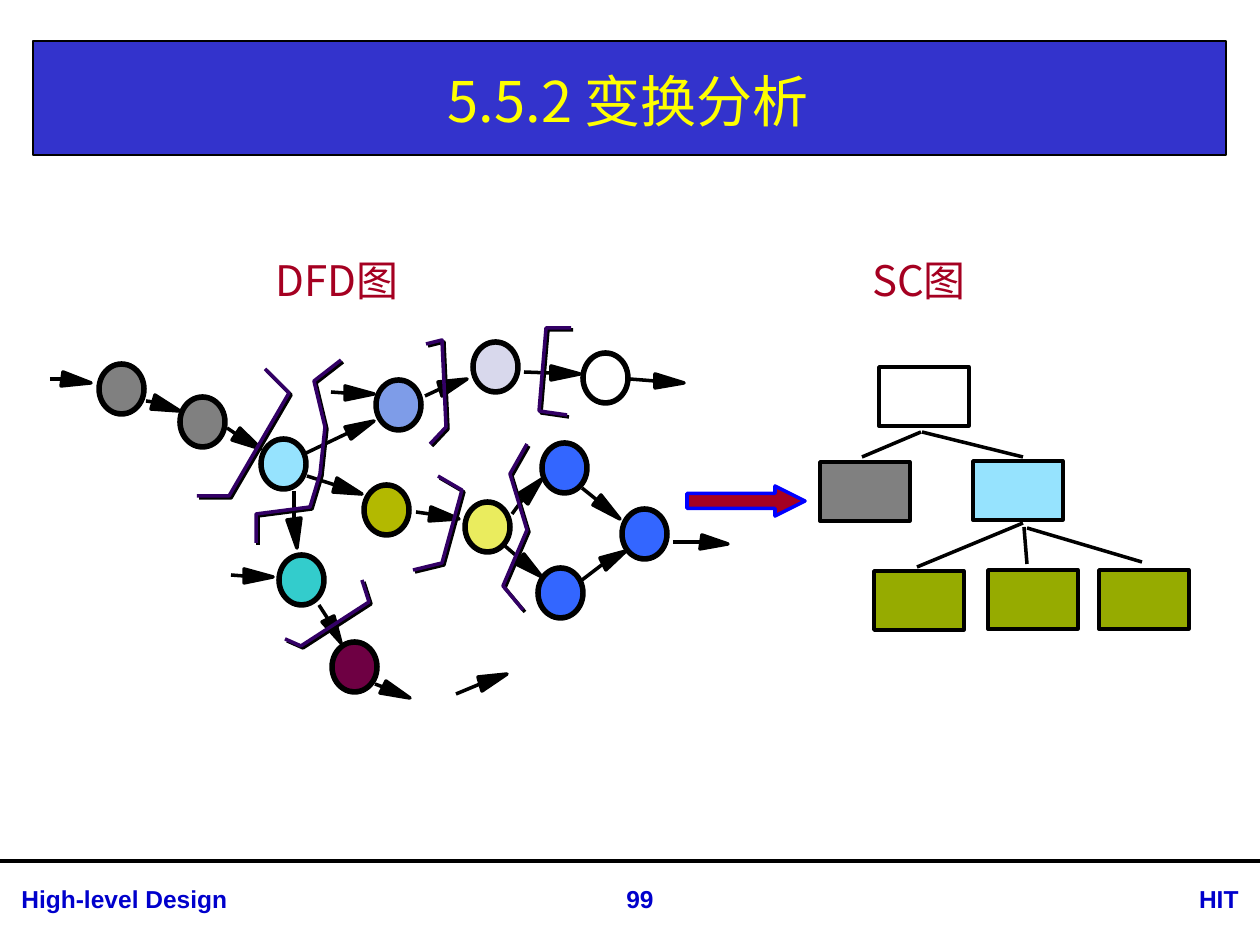
import math
from dataclasses import dataclass
from typing import NamedTuple, Optional

import pptx
import pptx.dml.color
import pptx.enum.shapes
import pptx.enum.text
import pptx.oxml.ns
import pptx.util
from lxml import etree

SCALE = 914400 / 126  # EMU per px
SHAPE = pptx.enum.shapes.MSO_SHAPE
ALIGN = pptx.enum.text.PP_ALIGN
Point = tuple[int, int]


@dataclass(frozen=True)
class Theme:
    bar: str = "3333CC"
    title: str = "FFFF00"
    heading: str = "A50021"
    footer: str = "0000CC"
    ink: str = "000000"
    boundary: str = "330066"
    arrow_line: str = "0000FF"
    white: str = "FFFFFF"
    gray: str = "808080"
    sky: str = "96E3FE"
    blue: str = "3366FF"
    olive: str = "96AB00"
    cjk: str = "Noto Sans CJK SC"
    latin: str = "Arial"
    title_pt: int = 32
    heading_pt: int = 24
    footer_pt: int = 14
    line_pt: float = 2


T = Theme()


class Box(NamedTuple):
    x: int
    y: int
    w: int
    h: int


class Node(NamedTuple):
    x: int
    y: int
    fill: str


class Flow(NamedTuple):
    tail: Point
    neck: Point
    tip: Point


NODES = [
    Node(179, 396, T.gray), Node(98, 363, T.gray), Node(375, 379, "7E9CE8"),
    Node(472, 341, "D8D8EC"), Node(582, 352, T.white), Node(363, 484, "B3B900"),
    Node(464, 501, "EAEC5E"), Node(541, 442, T.blue), Node(537, 567, T.blue),
    Node(621, 508, T.blue), Node(278, 554, "33CCCC"), Node(331, 641, "6E0043"),
]
CENTER_NODE = Node(260, 438, T.sky)
FLOWS = [
    Flow((50, 379), (62, 379), (91, 383)), Flow((231, 575), (244, 576), (273, 577)),
    Flow((331, 392), (345, 393), (374, 394)), Flow((146, 401), (153, 402), (180, 411)),
    Flow((227, 428), (236, 434), (261, 449)), Flow((307, 476), (335, 485), (362, 494)),
    Flow((302, 455), (348, 433), (374, 421)), Flow((294, 491), (294, 519), (297, 548)),
    Flow((425, 396), (440, 389), (467, 379)), Flow((524, 372), (551, 373), (580, 374)),
    Flow((630, 379), (655, 381), (684, 383)), Flow((673, 542), (701, 542), (728, 544)),
    Flow((416, 512), (430, 514), (459, 519)), Flow((582, 580), (603, 564), (626, 551)),
    Flow((582, 488), (597, 500), (620, 519)), Flow((505, 546), (520, 559), (542, 577)),
    Flow((512, 514), (523, 499), (542, 479)), Flow((319, 605), (328, 619), (341, 643)),
    Flow((375, 684), (383, 687), (410, 698)), Flow((456, 694), (480, 684), (507, 674)),
]
BOUNDARIES: list[list[Point]] = [
    [(265, 369), (289, 393), (229, 496), (197, 496)],
    [(341, 360), (314, 381), (325, 427), (320, 474), (310, 507), (256, 514), (256, 543)],
    [(426, 344), (442, 340), (446, 427), (430, 444)],
    [(571, 328), (546, 328), (539, 411), (567, 415)],
    [(438, 476), (462, 490), (442, 563), (413, 570)],
    [(527, 444), (510, 474), (527, 530), (503, 586), (523, 610)],
    [(362, 580), (369, 602), (301, 646), (285, 639)],
]
MODULES = [
    Node(879, 367, T.white), Node(820, 462, T.gray), Node(973, 461, T.sky),
    Node(874, 571, T.olive), Node(988, 570, T.olive), Node(1099, 570, T.olive),
]
CALLS: list[tuple[Point, Point]] = [
    ((921, 432), (862, 457)), ((922, 432), (1023, 457)), ((1023, 523), (917, 567)),
    ((1024, 527), (1027, 564)), ((1027, 528), (1142, 562)),
]


def px(n: float) -> int:
    return pptx.util.Emu(round(n * SCALE))


def rgb(color: str) -> pptx.dml.color.RGBColor:
    return pptx.dml.color.RGBColor.from_string(color)


def style(shape, fill: Optional[str], line: str = T.ink, width: float = T.line_pt) -> None:
    shape.shadow.inherit = False
    if fill:
        shape.fill.solid()
        shape.fill.fore_color.rgb = rgb(fill)
    else:
        shape.fill.background()
    shape.line.color.rgb = rgb(line)
    shape.line.width = pptx.util.Pt(width)


def add_shape(s, kind, box: Box, fill: Optional[str], **outline):
    sp = s.shapes.add_shape(kind, *map(px, box))
    style(sp, fill, **outline)
    return sp


def add_line(s, start: Point, end: Point, width: float = T.line_pt) -> None:
    line = s.shapes.add_connector(
        pptx.enum.shapes.MSO_CONNECTOR.STRAIGHT, *map(px, (*start, *end)))
    line.line.color.rgb = rgb(T.ink)
    line.line.width = pptx.util.Pt(width)
    etree.SubElement(line.element.spPr, pptx.oxml.ns.qn("a:effectLst"))


def add_path(s, points, fill: Optional[str] = None, line: str = T.ink) -> None:
    """Draw a polygon when filled, otherwise an open polyline."""
    builder = s.shapes.build_freeform(*points[0], scale=SCALE)
    builder.add_line_segments(points[1:], close=fill is not None)
    style(builder.convert_to_shape(), fill, line)


def add_node(s, node: Node) -> None:
    add_shape(s, SHAPE.OVAL, Box(node.x + 2, node.y + 2, 43, 48), node.fill)
    add_shape(s, SHAPE.OVAL, Box(node.x, node.y, 47, 52), None)


def add_flow(s, flow: Flow) -> None:
    """Draw a shaft and a head whose base is square to the neck-tip direction."""
    (nx, ny), (tx, ty) = flow.neck, flow.tip
    length = math.hypot(tx - nx, ty - ny)
    dx, dy = -(ty - ny) / length * 7, (tx - nx) / length * 7
    add_path(s, [flow.tip, (nx + dx, ny + dy), (nx - dx, ny - dy)], T.ink)
    add_line(s, flow.tail, flow.neck)


def add_boundary(s, points: list[Point]) -> None:
    add_path(s, [(x + 2, y + 2) for x, y in points])
    add_path(s, points, line=T.boundary)


def write(sp, text: str, *, size: int, color: str, font: str,
          align=ALIGN.CENTER, bold: bool = False) -> None:
    tf = sp.text_frame
    tf.word_wrap = True
    tf.auto_size = pptx.enum.text.MSO_AUTO_SIZE.NONE
    p = tf.paragraphs[0]
    p.alignment = align
    r = p.add_run()
    r.text = text
    r.font.name, r.font.size, r.font.bold = font, pptx.util.Pt(size), bold
    r.font.color.rgb = rgb(color)
    ea = etree.SubElement(r.font._element, pptx.oxml.ns.qn("a:ea"))
    ea.set("typeface", font)


def add_text(s, box: Box, text: str, **text_format) -> None:
    write(s.shapes.add_textbox(*map(px, box)), text, **text_format)


def main() -> None:
    prs = pptx.Presentation()
    prs.slide_width, prs.slide_height = px(1260), px(945)
    s = prs.slides.add_slide(prs.slide_layouts[5])

    bar = add_shape(s, SHAPE.RECTANGLE, Box(33, 41, 1193, 114), T.bar, width=0.75)
    title = s.shapes.title
    bar.element.addnext(title.element)
    title.left, title.top, title.width, title.height = map(px, (33, 45, 1191, 110))
    title.text_frame.vertical_anchor = pptx.enum.text.MSO_ANCHOR.MIDDLE
    write(title, "5.5.2 变换分析", size=T.title_pt, color=T.title, font=T.cjk)

    add_line(s, (0, 861), (1260, 861), width=2.25)
    for x, w, text, align in [(9, 485, "High-level Design", ALIGN.LEFT),
                              (1121, 130, "HIT", ALIGN.RIGHT),
                              (575, 130, "99", ALIGN.CENTER)]:
        add_text(s, Box(x, 878, w, 43), text, size=T.footer_pt, color=T.footer,
                 font=T.latin, align=align, bold=True)

    for node in NODES:
        add_node(s, node)
    for flow in FLOWS:
        add_flow(s, flow)
    add_node(s, CENTER_NODE)
    for points in BOUNDARIES:
        add_boundary(s, points)

    for module in MODULES:
        add_shape(s, SHAPE.RECTANGLE, Box(module.x, module.y, 90, 59), module.fill)
    for start, end in CALLS:
        add_line(s, start, end)

    arrow = add_shape(s, SHAPE.RIGHT_ARROW, Box(687, 486, 118, 30), T.heading,
                      line=T.arrow_line)
    arrow.adjustments[0], arrow.adjustments[1] = 0.5, 1
    for x, w, text in [(219, 236, "DFD图"), (813, 212, "SC图")]:
        add_text(s, Box(x, 248, w, 63), text, size=T.heading_pt, color=T.heading,
                 font=T.cjk)
    prs.save("out.pptx")


if __name__ == "__main__":
    main()
